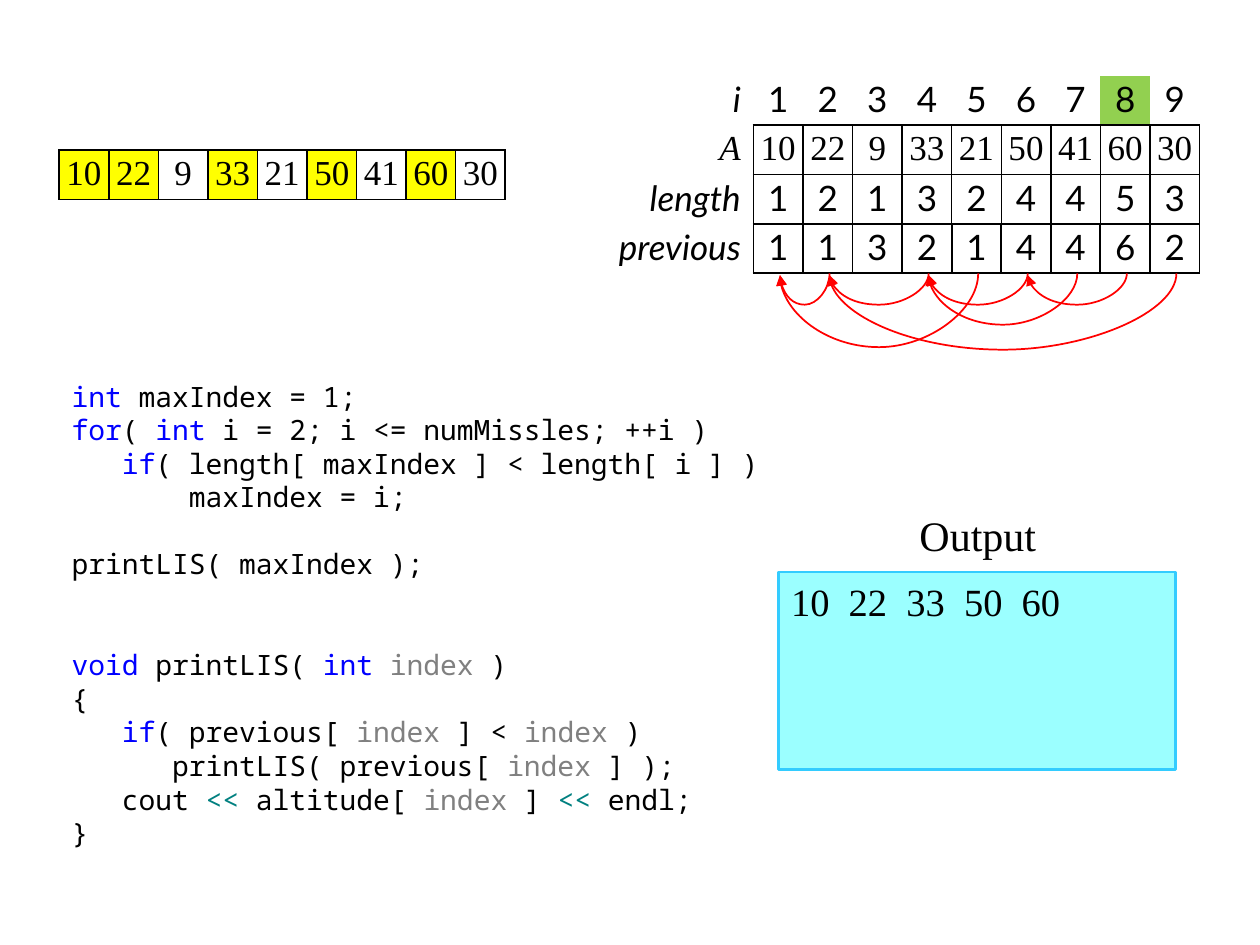
"""Slide tracing the longest increasing subsequence and its output."""
from dataclasses import dataclass

from lxml.etree import SubElement
from pptx import Presentation
from pptx.dml.color import RGBColor
from pptx.enum.shapes import MSO_CONNECTOR, MSO_SHAPE
from pptx.enum.text import MSO_ANCHOR, PP_ALIGN
from pptx.oxml.ns import qn
from pptx.util import Inches, Pt


@dataclass(frozen=True)
class Theme:
    """Fonts, type sizes and colours of the slide."""
    serif: str = "Times New Roman"
    sans: str = "Lato"
    mono: str = "Noto Sans Mono"
    code: float = 16
    lead: float = 19.2
    cell: float = 20
    result: float = 22
    title: float = 24
    black: str = "000000"
    blue: str = "0000FF"
    gray: str = "808080"
    teal: str = "008080"
    red: str = "FF0000"
    green: str = "92D050"
    yellow: str = "FFFF00"
    aqua: str = "9BFFFF"
    sky: str = "33CCFF"


THEME = Theme()
TINTS = {
    **dict.fromkeys(["int", "for", "if", "void"], THEME.blue),
    "index": THEME.gray,
    "<<": THEME.teal,
}

STEP = 3.54 / 9
ROW = 1.57 / 4
GRID_LEFT, GRID_TOP, LABEL = 4.8, 0.6, 1.18
GRID_END = GRID_TOP + 4 * ROW

HEIGHTS = [10, 22, 9, 33, 21, 50, 41, 60, 30]
LENGTHS = [1, 2, 1, 3, 2, 4, 4, 5, 3]
LINKS = [1, 1, 3, 2, 1, 4, 4, 6, 2]
CHAIN = [10, 22, 33, 50, 60]
DEPTHS = {1: 0.25, 2: 0.25, 3: 0.41, 4: 0.59, 7: 0.61}

CODE = """|int| maxIndex = 1;
|for|( |int| i = 2; i <= numMissles; ++i )
   |if|( length[ maxIndex ] < length[ i ] )
       maxIndex = i;

printLIS( maxIndex );


|void| printLIS( |int| |index| )
{
   |if|( previous[ |index| ] < |index| )
      printLIS( previous[ |index| ] );
   cout |<<| altitude[ |index| ] |<<| endl;
}"""


def rgb(code):
    """Turn a hex code into a colour."""
    return RGBColor.from_string(code)


def write(frame, text, size=THEME.cell, font=THEME.serif, italic=False,
          align=PP_ALIGN.LEFT, lead=None):
    """Write lines of text, tinting marked words and turning empty lines into space."""
    frame.word_wrap = True
    para, gap = None, 0
    for line in text.split("\n"):
        if not line:
            gap += 1
            continue
        para = frame.add_paragraph() if para else frame.paragraphs[0]
        para.alignment = align
        if lead:
            para.line_spacing = Pt(lead)
        if gap:
            para.space_before = Pt(gap * lead)
        gap = 0
        for piece in filter(None, line.split("|")):
            run = para.add_run()
            run.text = piece
            run.font.size = Pt(size)
            run.font.name = font
            run.font.italic = italic
            run.font.color.rgb = rgb(TINTS.get(piece, THEME.black))


class Canvas:
    """The current slide and the style of its elements."""

    def __init__(self, slide, theme):
        """Keep the slide and the theme."""
        self.slide, self.theme = slide, theme

    def label(self, text, left, top, width, height, anchor=MSO_ANCHOR.TOP, **style):
        """Add a text box."""
        box = self.slide.shapes.add_textbox(*map(Inches, (left, top, width, height)))
        box.text_frame.vertical_anchor = anchor
        write(box.text_frame, text, **style)

    def panel(self, left, top, width, height, fill=None, line=THEME.black, weight=1):
        """Add a rectangle and return it."""
        box = self.slide.shapes.add_shape(
            MSO_SHAPE.RECTANGLE, *map(Inches, (left, top, width, height)))
        box.shadow.inherit = False
        if fill:
            box.fill.solid()
            box.fill.fore_color.rgb = rgb(fill)
        else:
            box.fill.background()
        box.line.color.rgb = rgb(line)
        box.line.width = Pt(weight)
        box.text_frame.vertical_anchor = MSO_ANCHOR.TOP
        return box

    def grid(self, rows, cols, left, top):
        """Add a plain table and return it."""
        table = self.slide.shapes.add_table(
            rows, len(cols), Inches(left), Inches(top),
            Inches(sum(cols)), Inches(rows * ROW)).table
        table.first_row = table.horz_banding = False
        for col, width in zip(table.columns, cols):
            col.width = Inches(width)
        for row in table.rows:
            row.height = Inches(ROW)
        return table

    def cell(self, cell, text, edges="LRTB", fill=None, pad=0,
             align=PP_ALIGN.CENTER, **style):
        """Fill one table cell and draw the named edges."""
        cell.margin_left = cell.margin_top = 0
        cell.margin_right, cell.margin_bottom = Inches(pad), Inches(0.02)
        cell.vertical_anchor = MSO_ANCHOR.MIDDLE
        props = cell._tc.get_or_add_tcPr()
        for side in "LRTB":
            line = SubElement(props, qn(f"a:ln{side}"), w=str(Pt(1)))
            if side in edges:
                paint = SubElement(line, qn("a:solidFill"))
                SubElement(paint, qn("a:srgbClr"), val=self.theme.black)
            else:
                SubElement(line, qn("a:noFill"))
        if fill:
            cell.fill.solid()
            cell.fill.fore_color.rgb = rgb(fill)
        else:
            cell.fill.background()
        write(cell.text_frame, text, align=align, **style)

    def arc(self, start, end, top, depth):
        """Add a curved arrow that hangs below the line at top."""
        span, rise = Inches(start - end), Pt(1)
        line = self.slide.shapes.add_connector(MSO_CONNECTOR.CURVE, 0, 0, rise, span)
        line.left = Inches((start + end) / 2) - rise // 2
        line.top = Inches(top) + rise // 2 - span // 2
        line.line.color.rgb = rgb(self.theme.red)
        line.line.width = Pt(1)
        props = line._element.spPr
        props.find(qn("a:xfrm")).set("rot", "5400000")
        bend = props.find(qn("a:prstGeom")).find(qn("a:avLst"))
        ratio = round(Inches(depth) / rise * 100000)
        SubElement(bend, qn("a:gd"), name="adj1", fmla=f"val {ratio}")
        SubElement(line.line._get_or_add_ln(), qn("a:tailEnd"), type="triangle")
        SubElement(props, qn("a:effectLst"))


def trace(canvas):
    """Draw the table of steps with its links."""
    theme = canvas.theme
    rows = [("i", range(1, 10), theme.sans), ("A", HEIGHTS, theme.serif),
            ("length", LENGTHS, theme.sans), ("previous", LINKS, theme.sans)]
    table = canvas.grid(len(rows), [LABEL] + [STEP] * 9, GRID_LEFT, GRID_TOP)
    for r, (name, values, font) in enumerate(rows):
        canvas.cell(table.cell(r, 0), name, edges="R" if r else "", pad=0.1,
                    align=PP_ALIGN.RIGHT, font=font, italic=True)
        for c, value in enumerate(values, 1):
            canvas.cell(table.cell(r, c), str(value), edges="LRTB" if r else "B",
                        fill=theme.green if (r, c) == (0, 8) else None, font=font)
    left = GRID_LEFT + LABEL
    for i, link in enumerate(LINKS, 1):
        canvas.panel(left + (i - 1) * STEP, GRID_END - ROW, STEP, ROW)
        if link < i:
            start, end = (left + 0.21 + (n - 1) * STEP for n in (i, link))
            canvas.arc(start, end, GRID_END, DEPTHS[i - link])


def main():
    """Build and save the slide."""
    deck = Presentation()
    deck.slide_width, deck.slide_height = Inches(10), Inches(7.5)
    canvas = Canvas(deck.slides.add_slide(deck.slide_layouts[6]), THEME)
    canvas.label(CODE, 0.47, 2.96, 8.66, 3.94, size=THEME.code, font=THEME.mono,
                 lead=THEME.lead)
    trace(canvas)
    result = canvas.panel(6.18, 4.54, 3.15, 1.57, THEME.aqua, THEME.sky, 1.5)
    write(result.text_frame, "  ".join(map(str, CHAIN)), size=THEME.result)
    canvas.label("Output", 7.17, 3.95, 1.18, 0.59, MSO_ANCHOR.MIDDLE,
                 size=THEME.title, align=PP_ALIGN.CENTER)
    strip = canvas.grid(1, [STEP] * 9, 0.47, 1.19)
    for c, value in enumerate(HEIGHTS):
        canvas.cell(strip.cell(0, c), str(value),
                    fill=THEME.yellow if value in CHAIN else None)
    deck.save("out.pptx")


if __name__ == "__main__":
    main()
